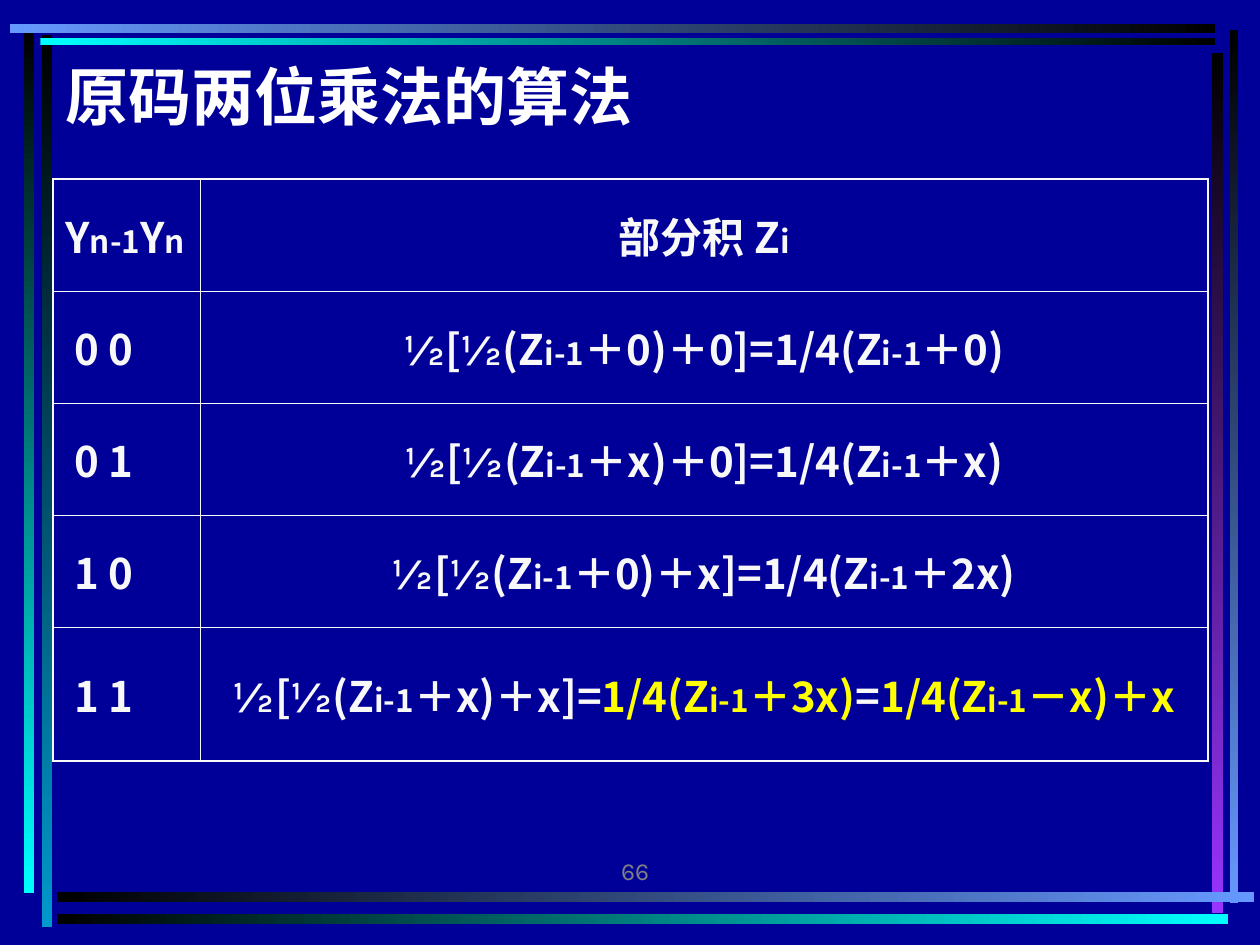
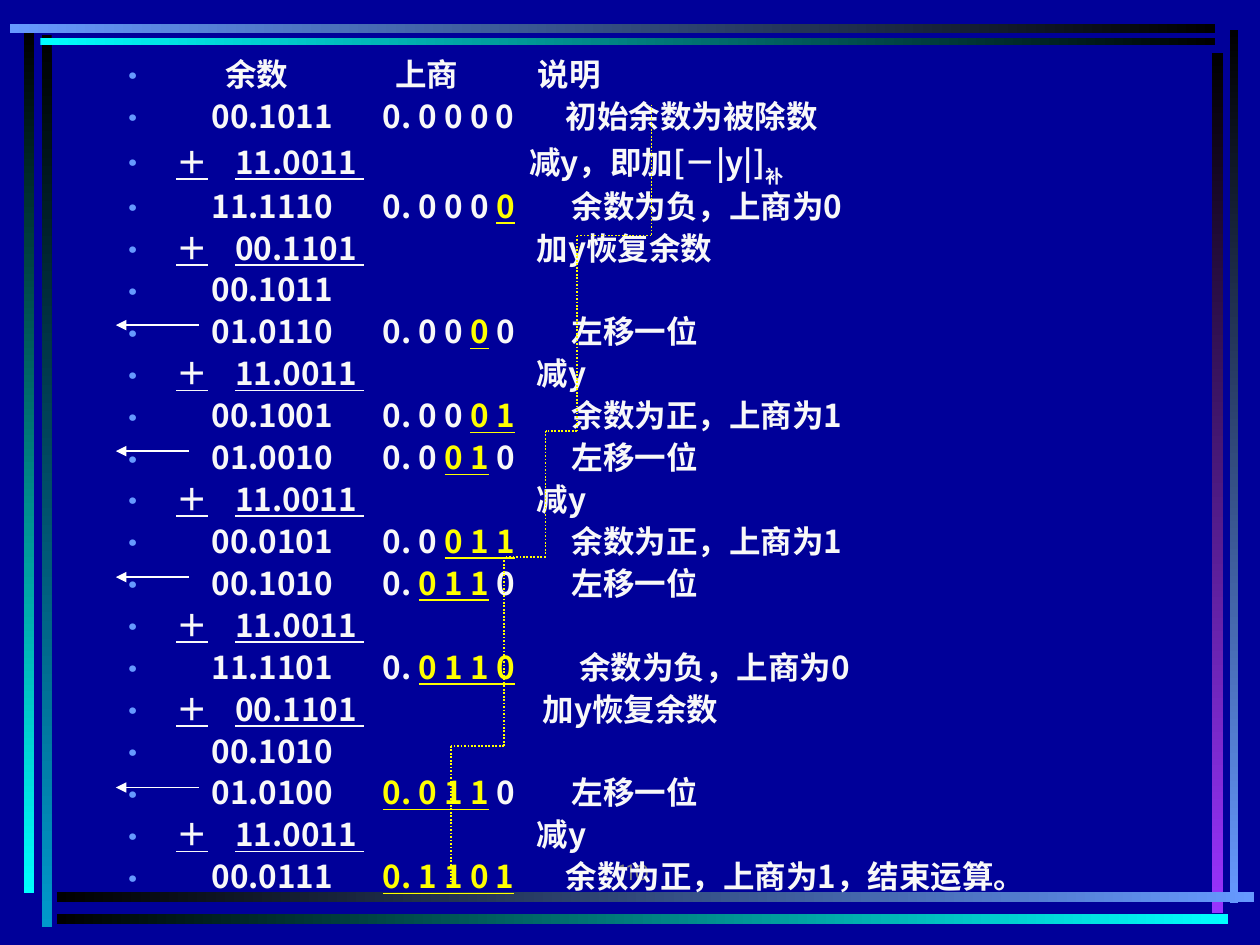
import itertools

import lxml.etree
import pptx
import pptx.dml.color
import pptx.enum.dml
import pptx.enum.shapes
import pptx.enum.text
import pptx.oxml.ns
import pptx.util

Inches = pptx.util.Inches
Pt = pptx.util.Pt
RGBColor = pptx.dml.color.RGBColor
qn = pptx.oxml.ns.qn

NAVY = RGBColor(0x00, 0x00, 0x99)
BLACK = RGBColor(0x00, 0x00, 0x00)
WHITE = RGBColor(0xFF, 0xFF, 0xFF)
OFF_WHITE = RGBColor(0xF8, 0xF8, 0xF8)
YELLOW = RGBColor(0xFF, 0xFF, 0x00)
GRAY = RGBColor(0x80, 0x80, 0x80)
TEAL = RGBColor(0x00, 0x99, 0xCC)
CYAN = RGBColor(0x00, 0xFF, 0xFF)
SKY = RGBColor(0x66, 0x99, 0xFF)
PURPLE = RGBColor(0x99, 0x33, 0xFF)
CJK = "Noto Sans CJK SC"
LATIN = "Karla"


def write_run(paragraph, text, size, color=OFF_WHITE, font=CJK, bold=True, underline=None):
    run = paragraph.add_run()
    run.text = text
    run.font.size = Pt(size)
    run.font.bold = bold
    run.font.underline = underline
    run.font.color.rgb = color
    run.font.name = font
    lxml.etree.SubElement(run.font._element, qn("a:ea")).set("typeface", font)
    return run


def draw_line(slide, start, end, color, width):
    line = slide.shapes.add_connector(
        pptx.enum.shapes.MSO_CONNECTOR.STRAIGHT, *(Inches(value) for value in start + end))
    line.line.color.rgb = color
    line.line.width = Pt(width)
    lxml.etree.SubElement(line._element.spPr, qn("a:effectLst"))
    return line


prs = pptx.Presentation()
prs.slide_width = Inches(10)
prs.slide_height = Inches(7.5)
prs.slide_master.background.fill.solid()
prs.slide_master.background.fill.fore_color.rgb = NAVY

frame_bars = [
    (0.33, 0.28, 0.08, 7.08, BLACK, TEAL),
    (0.19, 0.25, 0.08, 6.84, BLACK, CYAN),
    (9.76, 0.24, 0.07, 6.93, BLACK, SKY),
    (9.62, 0.42, 0.09, 6.83, BLACK, PURPLE),
    (0.45, 7.08, 9.5, 0.08, BLACK, SKY),
    (0.45, 7.25, 9.3, 0.08, BLACK, CYAN),
    (0.32, 0.3, 9.32, 0.06, CYAN, BLACK),
    (0.08, 0.19, 9.56, 0.07, SKY, BLACK),
]
for page_number in ("66", "110"):
    slide = prs.slides.add_slide(prs.slide_layouts[6])
    for left, top, width, height, first_color, last_color in frame_bars:
        bar = slide.shapes.add_shape(
            pptx.enum.shapes.MSO_SHAPE.RECTANGLE,
            Inches(left), Inches(top), Inches(width), Inches(height))
        bar.shadow.inherit = False
        bar.line.fill.background()
        bar.fill.gradient()
        bar.fill.gradient_angle = 270 if height > width else 0
        for stop, color, position in zip(bar.fill.gradient_stops, (first_color, last_color), (0, 1)):
            stop.color.rgb = color
            stop.position = position
    footer = slide.shapes.add_textbox(Inches(3.17), Inches(6.58), Inches(2.08), Inches(0.5)).text_frame
    footer.word_wrap = True
    footer.vertical_anchor = pptx.enum.text.MSO_ANCHOR.BOTTOM
    footer.paragraphs[0].alignment = pptx.enum.text.PP_ALIGN.RIGHT
    write_run(footer.paragraphs[0], page_number, 14, GRAY, LATIN, bold=False)

multiplication, division = prs.slides

title = multiplication.shapes.add_textbox(Inches(0.42), Inches(0.47), Inches(8.75), Inches(0.58)).text_frame
title.word_wrap = True
title.vertical_anchor = pptx.enum.text.MSO_ANCHOR.MIDDLE
write_run(title.paragraphs[0], "原码两位乘法的算法", 36, WHITE)

products = [
    ("0 0", [("＋0)＋0]=1/4(Z_i-1_＋0)", OFF_WHITE)]),
    ("0 1", [("＋x)＋0]=1/4(Z_i-1_＋x)", OFF_WHITE)]),
    ("1 0", [("＋0)＋x]=1/4(Z_i-1_＋2x)", OFF_WHITE)]),
    ("1 1", [("＋x)＋x]=", OFF_WHITE), ("1/4(Z_i-1_＋3x)", YELLOW),
             ("=", OFF_WHITE), ("1/4(Z_i-1_－x)＋x", YELLOW)]),
]
half_sum = [("½", LATIN), ("[", CJK), ("½", LATIN), ("(Z", CJK)]
rows = [("Y_n-1_Y_n", [("部分积 Z_i", OFF_WHITE)])] + products
row_heights = [0.89] * 4 + [1.06]

algorithm = multiplication.shapes.add_table(
    len(rows), 2, Inches(0.42), Inches(1.42), Inches(9.17), Inches(sum(row_heights))).table
algorithm.first_row = False
algorithm.horz_banding = False
algorithm.columns[0].width = Inches(1.17)
algorithm.columns[1].width = Inches(8)
for row_index, (bits, formula) in enumerate(rows):
    algorithm.rows[row_index].height = Inches(row_heights[row_index])
    for column_index, pieces in enumerate(([(bits, OFF_WHITE)], formula)):
        cell = algorithm.cell(row_index, column_index)
        cell.vertical_anchor = pptx.enum.text.MSO_ANCHOR.MIDDLE
        paragraph = cell.text_frame.paragraphs[0]
        if column_index:
            paragraph.alignment = pptx.enum.text.PP_ALIGN.CENTER
            if row_index:
                for text, font in half_sum:
                    write_run(paragraph, text, 24, font=font)
                write_run(paragraph, "i-1", 18)
        elif row_index:
            cell.margin_left = Inches(0.17)
        for piece, color in pieces:
            for part_index, part in enumerate(piece.split("_")):
                if part:
                    write_run(paragraph, part, 18 if part_index % 2 else 24, color)
        outer_sides = {"lnL": column_index == 0, "lnR": column_index == 1,
                       "lnT": row_index == 0, "lnB": row_index == len(rows) - 1}
        for side, is_outer in outer_sides.items():
            border = lxml.etree.SubElement(cell._tc.get_or_add_tcPr(), qn("a:" + side))
            border.set("w", str(Pt(1.08 if is_outer else 0.45)))
            border_fill = lxml.etree.SubElement(border, qn("a:solidFill"))
            lxml.etree.SubElement(border_fill, qn("a:srgbClr")).set("val", str(OFF_WHITE))
        cell.fill.background()

steps = [
    ("余数", "上商", "", "", "说明", 3.25),
    ("00.1011", "0. 0 0 0 0", "", "", "初始余数为被除数", 3.47),
    ("＋11.0011", "", "", "", "减y，即加[－|y|]", 3.18),
    ("11.1110", "0. 0 0 0 ", "0", "", "余数为负，上商为0", 3.52),
    ("＋00.1101", "", "", "", "加y恢复余数", 3.24),
    ("00.1011", "", "", "", "", 0),
    ("01.0110", "0. 0 0 ", "0", " 0", "左移一位", 3.52),
    ("＋11.0011", "", "", "", "减y", 3.24),
    ("00.1001", "0. 0 0 ", "0 1", "", "余数为正，上商为1", 3.52),
    ("01.0010", "0. 0 ", "0 1", " 0", "左移一位", 3.52),
    ("＋11.0011", "", "", "", "减y", 3.24),
    ("00.0101", "0. 0 ", "0 1 1", "", "余数为正，上商为1", 3.52),
    ("00.1010", "0. ", "0 1 1", " 0", "左移一位", 3.52),
    ("＋11.0011", "", "", "", "", 0),
    ("11.1101", "0. ", "0 1 1 0", "", "余数为负，上商为0", 3.58),
    ("＋00.1101", "", "", "", "加y恢复余数", 3.29),
    ("00.1010", "", "", "", "", 0),
    ("01.0100", "", "0. 0 1 1", " 0", "左移一位", 3.52),
    ("＋11.0011", "", "", "", "减y", 3.24),
    ("00.0111", "", "0. 1 1 0 1", "", "余数为正，上商为1，结束运算。", 3.47),
]
worksheet = division.shapes.add_textbox(Inches(0.92), Inches(0.42), Inches(8.75), Inches(6.83)).text_frame
worksheet.word_wrap = True
for step_index, (remainder, quotient, marked, rest, note, note_left) in enumerate(steps):
    paragraph = worksheet.paragraphs[0] if step_index == 0 else worksheet.add_paragraph()
    paragraph.line_spacing = 0.9
    if step_index:
        paragraph.space_before = Pt(4.5)
    is_addition = remainder.startswith("＋")
    if step_index == 0:
        tab_stops = [0.77, 2.12, note_left]
    elif is_addition:
        tab_stops = [0.85, note_left]
    else:
        tab_stops = [0.66, 2.02, note_left]
    properties = paragraph._p.get_or_add_pPr()
    properties.set("marL", str(Inches(0.38)))
    properties.set("indent", str(Inches(-0.38)))
    bullet_color = lxml.etree.SubElement(properties, qn("a:buClr"))
    lxml.etree.SubElement(bullet_color, qn("a:srgbClr")).set("val", str(SKY))
    lxml.etree.SubElement(properties, qn("a:buFont")).set("typeface", LATIN)
    lxml.etree.SubElement(properties, qn("a:buChar")).set("char", "•")
    tab_list = lxml.etree.SubElement(properties, qn("a:tabLst"))
    for position in filter(None, tab_stops):
        lxml.etree.SubElement(tab_list, qn("a:tab"), pos=str(Inches(position)), algn="l")
    if is_addition:
        write_run(paragraph, "＋\t" + remainder[1:] + " ", 18, underline=True)
    else:
        write_run(paragraph, "\t" + remainder, 18)
        if quotient or marked:
            write_run(paragraph, "\t" + quotient, 18)
        if marked:
            write_run(paragraph, marked, 18, YELLOW, underline=True)
    if note:
        write_run(paragraph, rest + "\t" + note, 18)
    if note.endswith("]"):
        subscript = write_run(paragraph, "补", 18)
        subscript.font._element.set("baseline", "-30000")

for arrow_start, arrow_y in ((1.58, 2.58), (1.5, 3.58), (1.5, 4.58), (1.58, 6.25)):
    shift_arrow = draw_line(division, (arrow_start, arrow_y), (0.92, arrow_y), WHITE, 0.75)
    lxml.etree.SubElement(shift_arrow.line._get_or_add_ln(), qn("a:tailEnd")).set("type", "triangle")

staircase = [(5.17, 0.83), (5.17, 1.87), (4.58, 1.87), (4.58, 3.42), (4.33, 3.42),
             (4.33, 4.42), (4, 4.42), (4, 5.92), (3.58, 5.92), (3.58, 7)]
for start, end in itertools.pairwise(staircase):
    stair = draw_line(division, start, end, YELLOW, 1)
    stair.line.dash_style = pptx.enum.dml.MSO_LINE.ROUND_DOT

prs.save("out.pptx")
